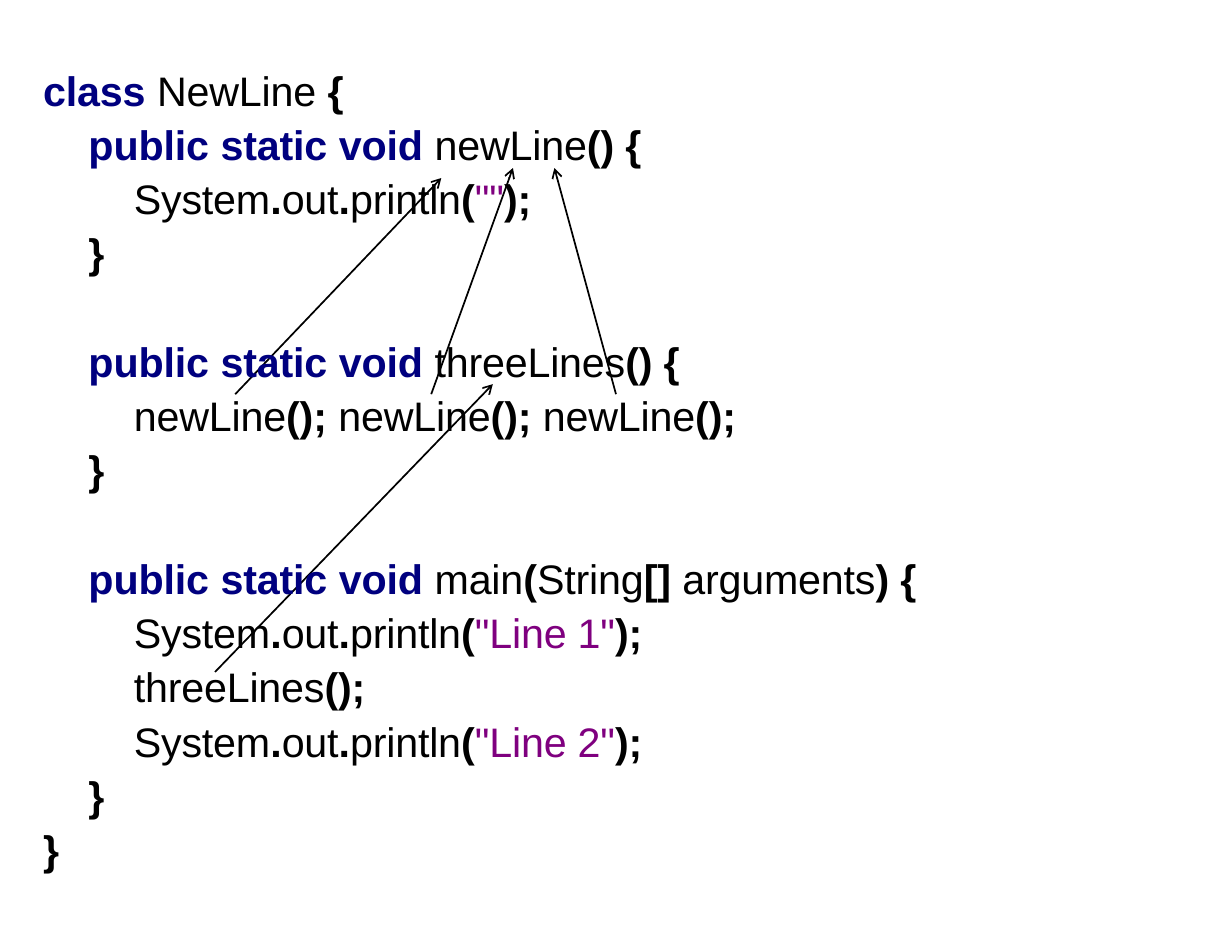
from itertools import groupby
from lxml.etree import SubElement
from pptx import Presentation
from pptx.dml.color import RGBColor
from pptx.enum.shapes import MSO_CONNECTOR
from pptx.oxml.ns import qn
from pptx.util import Inches, Pt

COLS, ROWS = 110, 85
WORDS = {"class", "public", "static", "void"}
CODE = [  # (indent level, text, opens a new method after a gap)
    (0, "class NewLine {", False),
    (1, "public static void newLine() {", False),
    (2, 'System.out.println("");', False),
    (1, "}", False),
    (1, "public static void threeLines() {", True),
    (2, "newLine(); newLine(); newLine();", False),
    (1, "}", False),
    (1, "public static void main(String[] arguments) {", True),
    (2, 'System.out.println("Line 1");', False),
    (2, "threeLines();", False),
    (2, 'System.out.println("Line 2");', False),
    (1, "}", False),
    (0, "}", False),
]
CALLS = [  # call site to method name, in columns and rows
    ((38.5, 35.2), (45.8, 15)),
    ((55, 35.2), (49.5, 15)),
    ((19.2, 60), (44, 34.3)),
    ((21, 35.2), (39.4, 15.9)),
]


def color(code):
    """Turn a hex string into a colour."""
    return RGBColor.from_string(code)


def tokens(line):
    """Yield (text, colour, bold) for each piece of a code line."""
    for i, part in enumerate(line.split('"')):
        if i % 2:
            yield f'"{part}"', "7F007F", False
            continue
        for word, chars in groupby(part, str.isalnum):
            text = "".join(chars)
            key = text in WORDS
            yield text, "00007F" if key else "000000", key or not word


class Board:
    """Style and current slide."""
    font, size, ink = "Arial", 26.5, "000000"
    step, lead, gap = 4.05, 3.1, 37.9

    def __init__(self, deck):
        """Add a blank slide and set up the grid."""
        self.slide = deck.slides.add_slide(deck.slide_layouts[6])
        self.col = deck.slide_width / COLS
        self.row = deck.slide_height / ROWS

    def spot(self, x, y):
        """Turn columns and rows into slide lengths."""
        return round(x * self.col), round(y * self.row)

    def arrow(self, start, end):
        """Draw a line with an open head at its end."""
        link = self.slide.shapes.add_connector(
            MSO_CONNECTOR.STRAIGHT, *self.spot(*start), *self.spot(*end))
        link.line.width = Pt(1.1)
        link.line.color.rgb = color(self.ink)
        SubElement(link.line._get_or_add_ln(), qn("a:tailEnd"),
                   type="arrow", w="med", len="med")
        SubElement(link._element.spPr, qn("a:effectLst"))

    def code(self, x, y, w, h, lines):
        """Write coloured code, one paragraph a line."""
        box = self.slide.shapes.add_textbox(*self.spot(x, y), *self.spot(w, h))
        frame = box.text_frame
        frame.word_wrap = True
        frame.margin_left = frame.margin_right = 0
        frame.margin_top = frame.margin_bottom = 0
        for i, (level, line, gap) in enumerate(lines):
            para = frame.add_paragraph() if i else frame.paragraphs[0]
            left = round((0.15 + level * self.step) * self.col)
            para._p.get_or_add_pPr().set("marL", str(left))
            if i:
                para.space_before = Pt(self.gap if gap else self.lead)
            for token in tokens(line):
                self.run(para, *token)

    def run(self, para, text, tone, bold):
        """Add one styled run to a paragraph."""
        run = para.add_run()
        run.text = text
        font = run.font
        font.name, font.size, font.bold = self.font, Pt(self.size), bold
        font.color.rgb = color(tone)
        run._r.get_or_add_rPr().set("spc", "-10" if bold else "-15")


def main():
    """Build the slide and save it."""
    deck = Presentation()
    deck.slide_width, deck.slide_height = Inches(11), Inches(8.5)
    board = Board(deck)
    for start, end in CALLS:
        board.arrow(start, end)
    board.code(3.7, 5.8, 78.5, 72.6, CODE)
    deck.save("out.pptx")


main()
